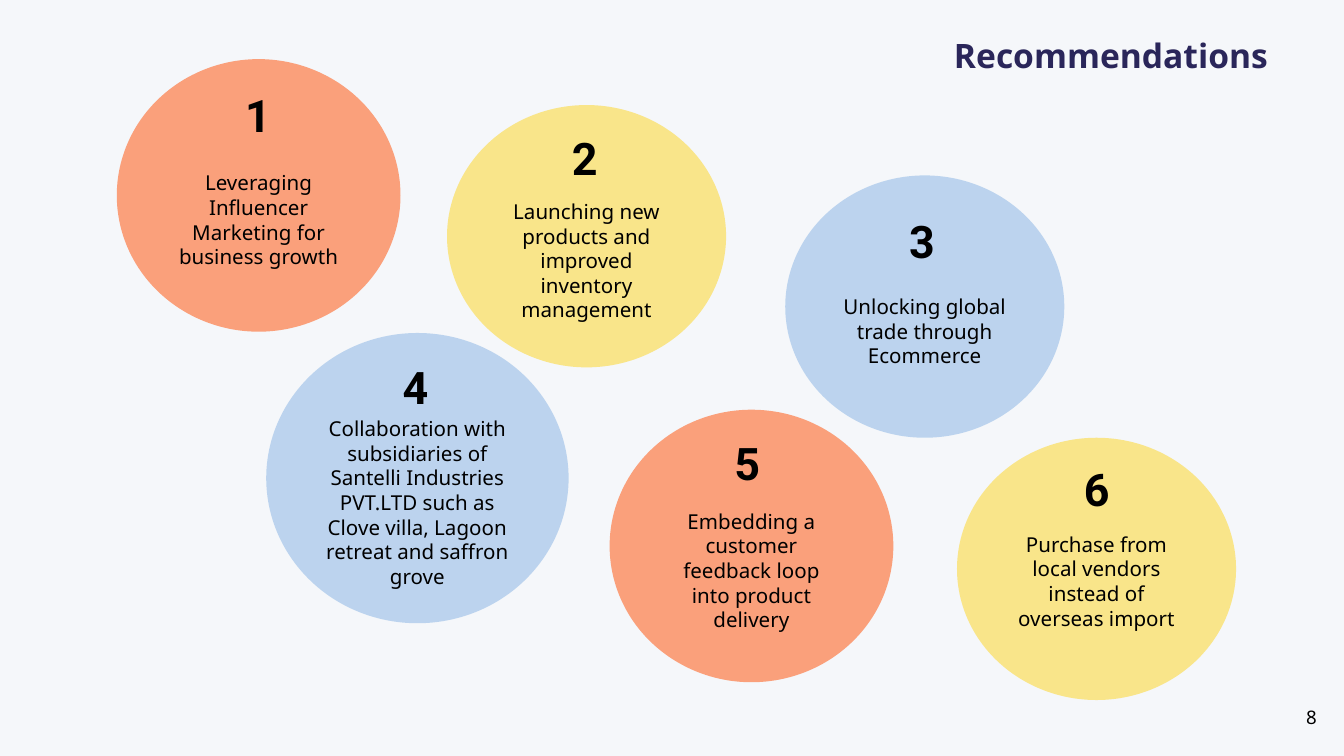
from lxml.etree import SubElement
from pptx import Presentation
from pptx.dml.color import RGBColor
from pptx.enum.shapes import MSO_SHAPE
from pptx.enum.text import MSO_ANCHOR, PP_ALIGN
from pptx.oxml.ns import qn
from pptx.util import Pt

PAPER = RGBColor(0xF5, 0xF7, 0xFA)
NAVY = RGBColor(0x2A, 0x26, 0x5A)
BLACK = RGBColor(0, 0, 0)
ORANGE = RGBColor(0xFF, 0x4D, 0x01)
YELLOW = RGBColor(0xFE, 0xD0, 0x02)
BLUE = RGBColor(0x7C, 0xAC, 0xE1)

# Circle styles: fill, opacity in percent, width, height
STYLES = {
    "orange": (ORANGE, 51, 152, 146),
    "yellow": (YELLOW, 45, 149.5, 140.5),
    "blue": (BLUE, 47, 162, 155.5),
    "small blue": (BLUE, 47, 149.5, 140.5),
}

# Style, circle left and top, number left and top, space below text, text
IDEAS = [
    ("orange", (62.6, 31.7), (54.7, 31), 0,
     "Leveraging Influencer Marketing for business growth"),
    ("yellow", (239.5, 56.3), (229.7, 54), 0,
     "Launching new products and improved inventory management"),
    ("small blue", (420.7, 94), (410.4, 98.6), 0,
     "Unlocking global trade through Ecommerce"),
    ("blue", (142.6, 178.4), (139, 177.1), 0,
     "Collaboration with subsidiaries of Santelli Industries PVT.LTD "
     "such as Clove villa, Lagoon retreat and saffron grove"),
    ("orange", (326.6, 219.5), (316.8, 217.4), 0,
     "Embedding a customer feedback loop into product delivery"),
    ("yellow", (512.7, 234.5), (504, 231.8), 13,
     "Purchase from local vendors instead of overseas import"),
]
NUM_SIZE = (167, 60.5)
PAD = 7.2
HEAD_GAP = 26  # room kept for the number above the text


def write(shape, text, size, font="Noto Sans", color=BLACK, bold=False,
          align=PP_ALIGN.LEFT, anchor=MSO_ANCHOR.TOP):
    frame = shape.text_frame
    frame.word_wrap = True
    frame.vertical_anchor = anchor
    para = frame.paragraphs[0]
    para.text = text
    para.alignment = align
    para.font.size = Pt(size)
    para.font.name = font
    para.font.bold = bold
    para.font.color.rgb = color
    return frame


def add_box(left, top, width, height):
    return slide.shapes.add_textbox(Pt(left), Pt(top), Pt(width), Pt(height))


def add_circle(style, left, top, below, text):
    color, alpha, width, height = STYLES[style]
    oval = slide.shapes.add_shape(
        MSO_SHAPE.OVAL, Pt(left), Pt(top), Pt(width), Pt(height))
    oval.shadow.inherit = False
    oval.line.fill.background()
    oval.fill.solid()
    oval.fill.fore_color.rgb = color
    tint = oval.fill._xPr.find(qn("a:solidFill"))[0]
    SubElement(tint, qn("a:alpha")).set("val", str(alpha * 1000))
    frame = write(oval, text, 11, align=PP_ALIGN.CENTER,
                  anchor=MSO_ANCHOR.MIDDLE)
    frame.margin_left = frame.margin_right = Pt(PAD)
    frame.margin_top = Pt(PAD + HEAD_GAP)
    frame.margin_bottom = Pt(PAD + below)


def add_number(num, left, top):
    frame = write(add_box(left, top, *NUM_SIZE), str(num), 24, "Roboto",
                  bold=True, align=PP_ALIGN.CENTER, anchor=MSO_ANCHOR.MIDDLE)
    frame.margin_top = frame.margin_bottom = Pt(PAD)


deck = Presentation()
deck.slide_width, deck.slide_height = Pt(720), Pt(405)
slide = deck.slides.add_slide(deck.slide_layouts[6])
slide.background.fill.solid()
slide.background.fill.fore_color.rgb = PAPER

# Title
write(add_box(504, 15.1, 216, 29), "Recommendations", 18, color=NAVY, bold=True)

# Circles, each with its number on top
for num, (style, spot, mark, below, text) in enumerate(IDEAS, 1):
    add_circle(style, *spot, below, text)
    add_number(num, *mark)

# Page number
write(add_box(692.6, 374.4, 27, 19.4), "8", 10)

deck.save("out.pptx")
